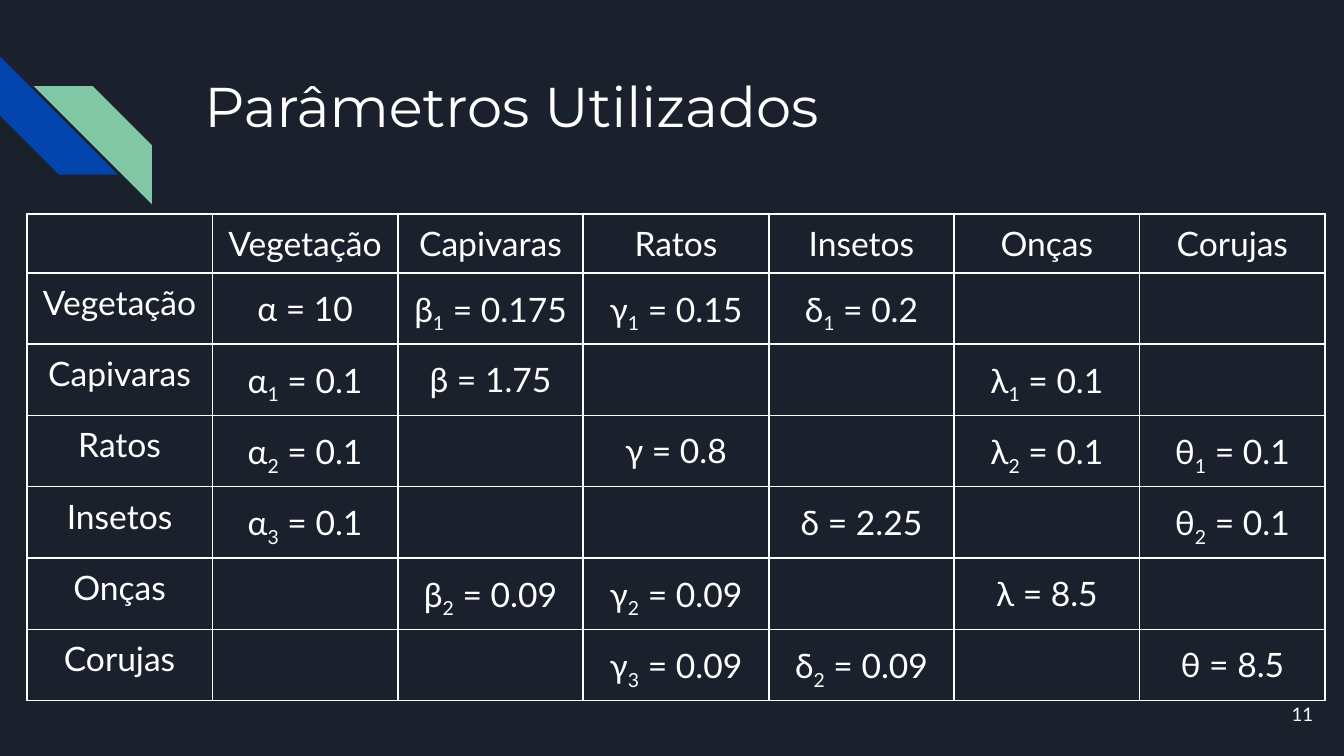
from dataclasses import dataclass

from pptx import Presentation
from pptx.dml.color import RGBColor
from pptx.enum.shapes import MSO_SHAPE as SHAPE
from pptx.enum.text import MSO_ANCHOR as ANCHOR, PP_ALIGN as ALIGN
from pptx.oxml import parse_xml
from pptx.oxml.ns import nsdecls
from pptx.util import Inches, Pt

NAVY = RGBColor(0x1B, 0x21, 0x2C)
BLUE = RGBColor(0x01, 0x45, 0xAC)
GREEN = RGBColor(0x82, 0xC7, 0xA5)
WHITE = RGBColor(0xFF, 0xFF, 0xFF)

SPECIES = ["Vegetação", "Capivaras", "Ratos", "Insetos", "Onças", "Corujas"]
# A digit right after the Greek letter is its subscript
PARAMETERS = [
    ["α = 10", "β1 = 0.175", "γ1 = 0.15", "δ1 = 0.2", "", ""],
    ["α1 = 0.1", "β = 1.75", "", "", "λ1 = 0.1", ""],
    ["α2 = 0.1", "", "γ = 0.8", "", "λ2 = 0.1", "θ1 = 0.1"],
    ["α3 = 0.1", "", "", "δ = 2.25", "", "θ2 = 0.1"],
    ["", "β2 = 0.09", "γ2 = 0.09", "", "λ = 8.5", ""],
    ["", "", "γ3 = 0.09", "δ2 = 0.09", "", "θ = 8.5"],
]


@dataclass
class Stripe:
    left: float
    top: float
    color: RGBColor
    rotation: float = 0
    flipped: bool = False


STRIPES = [
    Stripe(0, 0.42, BLUE, rotation=270),
    Stripe(0.25, 0.64, GREEN, flipped=True),
]


def add_stripe(slide, stripe: Stripe) -> None:
    side = Inches(0.88)
    sp = slide.shapes.add_shape(SHAPE.DIAGONAL_STRIPE, Inches(stripe.left),
                                Inches(stripe.top), side, side)
    sp.shadow.inherit = False
    sp.fill.solid()
    sp.fill.fore_color.rgb = stripe.color
    sp.line.fill.background()
    sp.rotation = stripe.rotation
    if stripe.flipped:
        sp._element.spPr.xfrm.set("flipH", "1")


def write(tf, text: str, *, size: float = 18, font: str = "Lato",
          align=ALIGN.CENTER, anchor=ANCHOR.TOP, spacing: float = 1.0,
          subscript: bool = False) -> None:
    """Write one white paragraph; subscript lowers the second character."""
    tf.vertical_anchor = anchor
    p = tf.paragraphs[0]
    p.alignment = align
    p.line_spacing = spacing
    parts = [text[0], text[1], text[2:]] if subscript else [text]
    for i, part in enumerate(parts):
        r = p.add_run()
        r.text = part
        r.font.size = Pt(size)
        r.font.name = font
        r.font.color.rgb = WHITE
        if i == 1:
            r._r.get_or_add_rPr().set("baseline", "-25000")


def set_margins(box, margin: int) -> None:
    box.margin_left = box.margin_right = margin
    box.margin_top = box.margin_bottom = margin


def format_cell(cell) -> None:
    set_margins(cell, Pt(5))
    tcPr = cell._tc.get_or_add_tcPr()
    for side in ("lnL", "lnR", "lnT", "lnB"):
        tcPr.append(parse_xml(
            f'<a:{side} {nsdecls("a")} w="{Pt(1)}"><a:solidFill>'
            f'<a:srgbClr val="{WHITE}"/></a:solidFill></a:{side}>'))
    cell.fill.background()


def add_parameter_table(slide) -> None:
    rows = [["", *SPECIES]]
    rows += [[name, *values] for name, values in zip(SPECIES, PARAMETERS)]
    n = len(rows)
    column, row_height = Inches(1.38), Inches(0.42)
    table = slide.shapes.add_table(n, n, Inches(0.2), Inches(1.59),
                                   column * n, row_height * n).table
    table.first_row = table.horz_banding = False
    for i, row in enumerate(rows):
        table.columns[i].width = column
        table.rows[i].height = row_height
        for j, text in enumerate(row):
            cell = table.cell(i, j)
            format_cell(cell)
            if text:
                write(cell.text_frame, text,
                      spacing=1.15 if i and j else 1.0,
                      subscript=text[1].isdigit())


def main() -> None:
    # Widescreen 16:9 slide
    prs = Presentation()
    prs.slide_width = Inches(10)
    prs.slide_height = prs.slide_width * 9 // 16
    slide = prs.slides.add_slide(prs.slide_layouts[5])
    slide.background.fill.solid()
    slide.background.fill.fore_color.rgb = NAVY

    # Corner ornament
    for stripe in STRIPES:
        add_stripe(slide, stripe)

    # Title
    title = slide.shapes.title
    title.left, title.top = Inches(1.42), Inches(0.43)
    title.width, title.height = Inches(7.7), Inches(0.62)
    set_margins(title.text_frame, Inches(0.1))
    write(title.text_frame, "Parâmetros Utilizados", size=30,
          font="Montserrat", align=ALIGN.LEFT)

    # Page number
    number = slide.shapes.add_textbox(Inches(9.27), Inches(5.1),
                                      Inches(0.6), Inches(0.43))
    tf = number.text_frame
    tf.word_wrap = True
    set_margins(tf, Inches(0.1))
    write(tf, "11", size=10, align=ALIGN.RIGHT, anchor=ANCHOR.MIDDLE)

    # Parameters of each species pair
    add_parameter_table(slide)
    prs.save("out.pptx")


if __name__ == "__main__":
    main()
